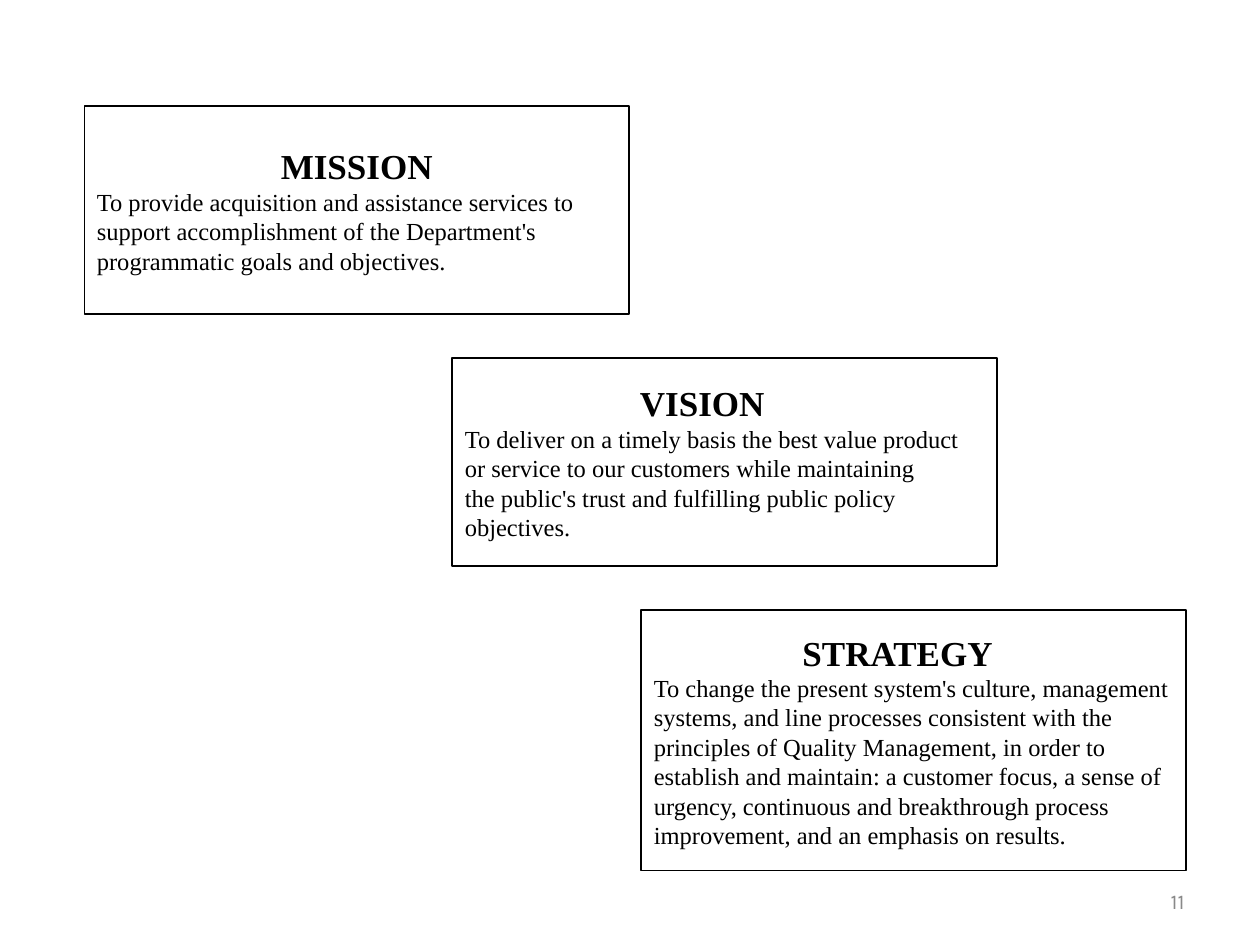
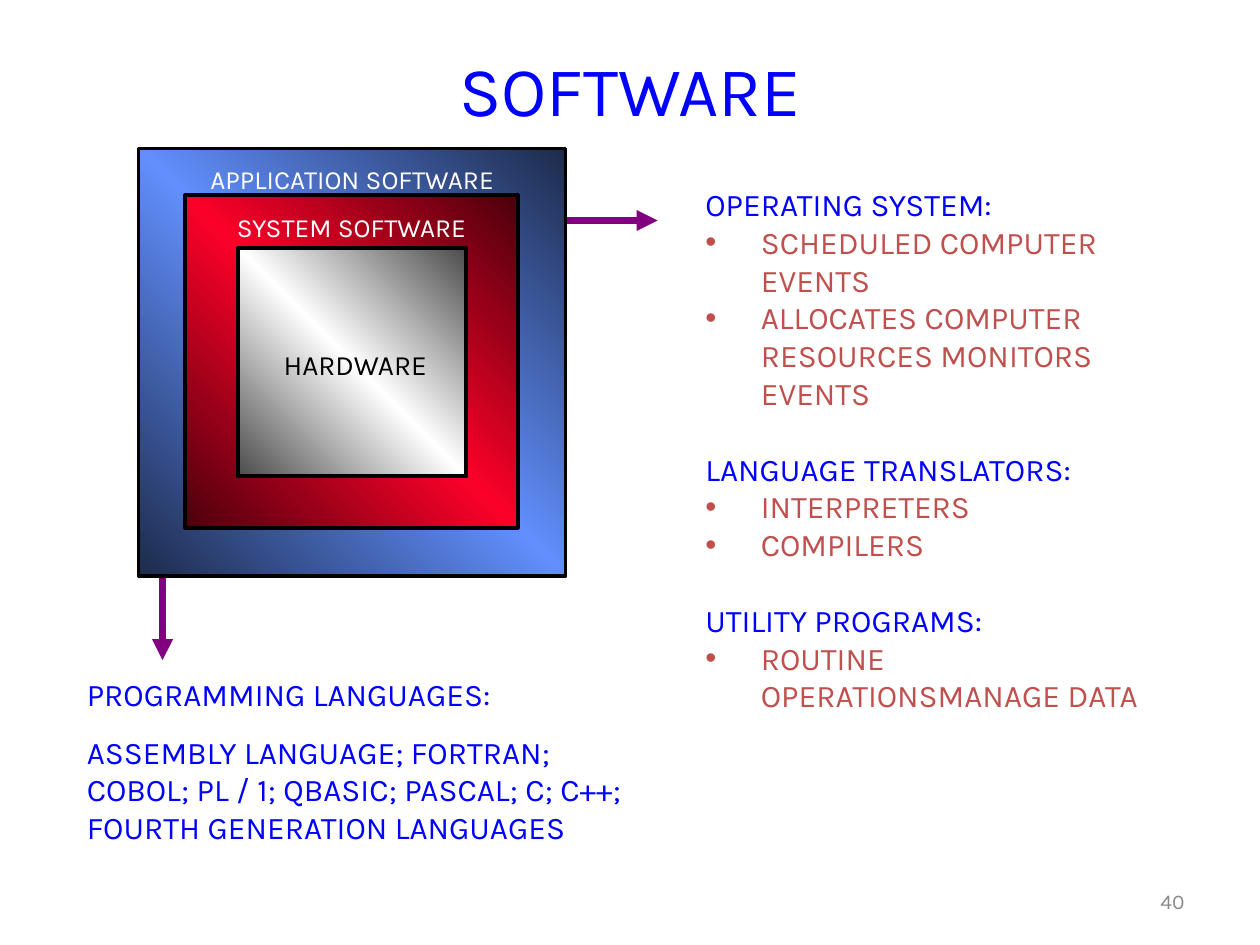
from copy import deepcopy

from lxml import etree
from pptx import Presentation
from pptx import util as u
from pptx.dml.color import RGBColor
from pptx.enum import shapes, text
from pptx.oxml import ns

PX = 9144
TITLE_ONLY, BLANK = 5, 6
COLORS = {
    "black": "000000", "white": "FFFFFF", "blue": "0000FF", "brick": "C0504D",
    "purple": "800080", "gray": "898989",
    "navy": "1D2B4B", "sky": "618FFD", "maroon": "4B000C", "red": "FC0128",
    "charcoal": "4C4C4C",
}
ALIGN = text.PP_ALIGN


def rgb(name):
    return RGBColor.from_string(COLORS[name])


def add_child(parent, tag, **attributes):
    return etree.SubElement(parent, ns.qn(tag), **attributes)


def write(paragraph, content, size=18, color="blue", font="Karla", bold=False,
          align=ALIGN.LEFT, before=0, indent=0, bullet=False):
    paragraph.text = content
    paragraph.alignment = align
    paragraph.space_before = u.Pt(before)
    properties = paragraph._p.get_or_add_pPr()
    if indent:
        properties.set("marL", str(indent * PX))
        properties.set("indent", str(-indent * PX if bullet else 0))
    if bullet:
        add_child(add_child(properties, "a:buClr"), "a:srgbClr", val=COLORS[color])
        add_child(properties, "a:buFont", typeface="Arial")
        add_child(properties, "a:buChar", char="•")
    for run in paragraph.runs:
        run.font.size = u.Pt(size)
        run.font.name = font
        run.font.bold = bold
        run.font.color.rgb = rgb(color)


class Deck:
    def __init__(self):
        self.presentation = Presentation()
        self.presentation.slide_width = 1000 * PX
        self.presentation.slide_height = 750 * PX
        self.slide = None

    def new_slide(self, number, title=None):
        layout = self.presentation.slide_layouts[TITLE_ONLY if title else BLANK]
        self.slide = self.presentation.slides.add_slide(layout)
        if title:
            shape = self.slide.shapes.title
            shape.left, shape.top, shape.width, shape.height = (
                v * PX for v in (75, 8, 850, 125))
            write(shape.text_frame.paragraphs[0], title, size=40, align=ALIGN.CENTER)
        self.text_box(717, 695, 233, 40, [(number, {})], size=12, color="gray",
                      align=ALIGN.RIGHT, anchor=text.MSO_ANCHOR.MIDDLE)

    def fill_text(self, shape, lines, anchor, **shared):
        frame = shape.text_frame
        frame.word_wrap = True
        frame.vertical_anchor = anchor
        for index, (content, options) in enumerate(lines):
            paragraph = frame.add_paragraph() if index else frame.paragraphs[0]
            write(paragraph, content, **{**shared, **options})

    def text_box(self, left, top, width, height, lines,
                 anchor=text.MSO_ANCHOR.TOP, **shared):
        shape = self.slide.shapes.add_textbox(
            left * PX, top * PX, width * PX, height * PX)
        self.fill_text(shape, lines, anchor, **shared)

    def rectangle(self, left, top, width, height, line_width):
        shape = self.slide.shapes.add_shape(
            shapes.MSO_SHAPE.RECTANGLE, left * PX, top * PX, width * PX, height * PX)
        shape.shadow.inherit = False
        shape.line.color.rgb = rgb("black")
        shape.line.width = u.Pt(line_width)
        return shape

    def statement(self, left, top, height, heading, indent, lines):
        shape = self.rectangle(left, top, 432, height, 1)
        shape.fill.solid()
        shape.fill.fore_color.rgb = rgb("white")
        content = [(heading, {"size": 20, "bold": True, "indent": indent})]
        content += [(line, {}) for line in lines]
        self.fill_text(shape, content, text.MSO_ANCHOR.MIDDLE, size=14,
                       color="black", font="Times New Roman")

    def gradient_square(self, left, top, side, edge, middle):
        shape = self.rectangle(left, top, side, side, 2)
        shape.fill.gradient()
        shape.fill.gradient_angle = 45
        stops = shape._element.spPr.find(".//" + ns.qn("a:gsLst"))
        stops.append(deepcopy(stops[0]))
        for index, (stop, color) in enumerate(
                zip(shape.fill.gradient_stops, (edge, middle, edge))):
            stop.position = index / 2
            stop.color.rgb = rgb(color)

    def arrow(self, *ends):
        connector = self.slide.shapes.add_connector(
            shapes.MSO_CONNECTOR.STRAIGHT, *(v * PX for v in ends))
        connector.line.color.rgb = rgb("purple")
        connector.line.width = u.Pt(4)
        add_child(connector.line._get_or_add_ln(), "a:tailEnd", type="triangle")
        add_child(connector._element.spPr, "a:effectLst")


def build_statements(deck):
    deck.new_slide("11")
    deck.statement(67, 84, 165, "MISSION", 146, [
        "To provide acquisition and assistance services to",
        "support accomplishment of the Department's",
        "programmatic goals and objectives.",
    ])
    deck.statement(509, 484, 207, "STRATEGY", 118, [
        "To change the present system's culture, management",
        "systems, and line processes consistent with the",
        "principles of Quality Management, in order to",
        "establish and maintain: a customer focus, a sense of",
        "urgency, continuous and breakthrough process",
        "improvement, and an emphasis on results.",
    ])
    deck.statement(359, 284, 165, "VISION", 139, [
        "To deliver on a timely basis the best value product",
        "or service to our customers while maintaining",
        "the public's trust and fulfilling public policy",
        "objectives.",
    ])


def build_software(deck):
    deck.new_slide("40", "SOFTWARE")
    deck.arrow(129, 388, 129, 524)
    deck.text_box(59, 531, 825, 191, [
        ("PROGRAMMING LANGUAGES:", {}),
        ("ASSEMBLY LANGUAGE; FORTRAN;\vCOBOL; PL / 1; QBASIC; PASCAL; C; C++;"
         "\vFOURTH GENERATION LANGUAGES", {"before": 11.2}),
    ])

    deck.arrow(386, 175, 522, 175)
    system_software = {
        "OPERATING SYSTEM:": ["SCHEDULED COMPUTER EVENTS",
                              "ALLOCATES COMPUTER RESOURCES MONITORS EVENTS"],
        "LANGUAGE TRANSLATORS:": ["INTERPRETERS", "COMPILERS"],
        "UTILITY PROGRAMS:": ["ROUTINE OPERATIONSMANAGE DATA"],
    }
    lines = []
    for heading, items in system_software.items():
        lines.append((heading, {"before": 21.6 if lines else 0}))
        lines += [(item, {"color": "brick", "indent": 44, "bullet": True})
                  for item in items]
    deck.text_box(550, 142, 391, 464, lines)

    outer = 339
    for side, edge, middle in ((outer, "navy", "sky"), (264, "maroon", "red"),
                               (181, "charcoal", "white")):
        inset = (outer - side) // 2
        deck.gradient_square(110 + inset, 118 + inset, side, edge, middle)
    for label, left, top, width, size, color in (
            ("HARDWARE", 201, 271, 162, 16, "black"),
            ("SYSTEM SOFTWARE", 152, 163, 254, 15, "white"),
            ("APPLICATION SOFTWARE", 109, 125, 341, 15, "white")):
        deck.text_box(left, top, width, 35, [(label, {})], size=size,
                      color=color, align=ALIGN.CENTER)


def main():
    deck = Deck()
    build_statements(deck)
    build_software(deck)
    deck.presentation.save("out.pptx")


if __name__ == "__main__":
    main()
